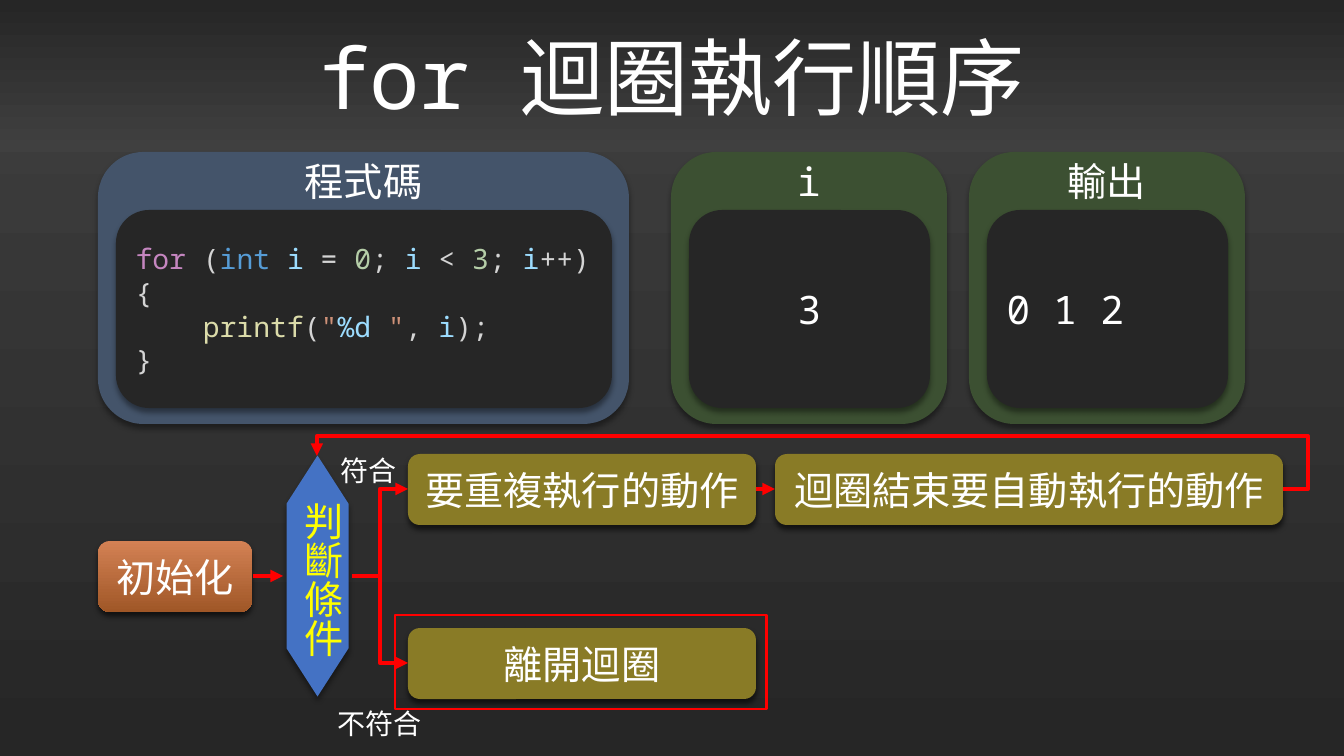
"""Build the slide that explains the execution order of a for loop."""
from dataclasses import dataclass

from lxml import etree
from pptx import Presentation
from pptx.dml.color import RGBColor
from pptx.enum.shapes import MSO_CONNECTOR, MSO_SHAPE
from pptx.enum.text import MSO_ANCHOR, MSO_AUTO_SIZE, PP_ALIGN
from pptx.oxml.ns import qn
from pptx.util import Emu, Pt

ROUNDED, RECTANGLE = MSO_SHAPE.ROUNDED_RECTANGLE, MSO_SHAPE.RECTANGLE
HEXAGON = MSO_SHAPE.FLOWCHART_PREPARATION
STRAIGHT, ELBOW = MSO_CONNECTOR.STRAIGHT, MSO_CONNECTOR.ELBOW
LEFT, CENTER, MIDDLE = PP_ALIGN.LEFT, PP_ALIGN.CENTER, MSO_ANCHOR.MIDDLE
EMU_PER_PX = 914400 / 100.8


@dataclass(frozen=True)
class Theme:
    """Colours, fonts and type sizes."""
    dark: str = "262626"
    gray: str = "404040"
    white: str = "FFFFFF"
    blue_panel: str = "44546A"
    green_panel: str = "3C5032"
    start: tuple = ("D38154", "A05727")
    condition: str = "4472C4"
    yellow: str = "FFFF00"
    action: str = "897B26"
    red: str = "FF0000"
    keyword: str = "C586C0"
    type_name: str = "569CD6"
    variable: str = "9CDCFE"
    number: str = "B5CEA8"
    function: str = "DCDCAA"
    string: str = "CE9178"
    plain: str = "D4D4D4"
    mono: str = "Noto Sans Mono"
    cjk: str = "Noto Sans CJK SC"
    cjk_tc: str = "Noto Sans CJK TC"
    sans: str = "Arial"
    title_size: int = 60
    body_size: int = 28
    code_size: int = 20
    note_size: int = 20


THEME = Theme()
TITLE = [[("for ", THEME.white, THEME.mono), ("迴圈執行順序", THEME.white, THEME.cjk)]]
CODE = [
    [("for", "keyword"), (" (", "plain"), ("int ", "type_name"), ("i", "variable"),
     (" = ", "plain"), ("0", "number"), ("; ", "plain"), ("i", "variable"),
     (" < ", "plain"), ("3", "number"), ("; ", "plain"), ("i", "variable"),
     ("++) {", "plain")],
    [("    ", "plain"), ("printf", "function"), ("(", "plain"), ('"', "string"),
     ("%d", "variable"), (' "', "string"), (", ", "plain"), ("i", "variable"),
     (");", "plain")],
    [("}", "plain")],
]
CODE_LINES = [[(text, getattr(THEME, role), THEME.mono) for text, role in line] for line in CODE]
PANELS = [
    ("程式碼", THEME.cjk_tc, 98, 531, THEME.blue_panel, CODE_LINES, THEME.code_size, LEFT),
    ("輸出", THEME.cjk, 969, 276, THEME.green_panel,
     [[("0 1 2", THEME.white, THEME.mono)]], THEME.body_size, LEFT),
    ("i", THEME.mono, 671, 276, THEME.green_panel,
     [[("3", THEME.white, THEME.mono)]], THEME.body_size, CENTER),
]
MIDDLE_ROW, ROW_GAP, STEP_HEIGHT = 576, 87, 71
TOP_ROW, BOTTOM_ROW = MIDDLE_ROW - ROW_GAP, MIDDLE_ROW + ROW_GAP
STEPS = [
    ("初始化", 98, MIDDLE_ROW, 154, THEME.start),
    ("要重複執行的動作", 408, TOP_ROW, 348, THEME.action),
    ("迴圈結束要自動執行的動作", 775, TOP_ROW, 508, THEME.action),
    ("離開迴圈", 408, BOTTOM_ROW, 348, THEME.action),
]
CONDITION, CONDITION_X = "判斷條件", 317
NOTES = [("符合", 331, 449, 76), ("不符合", 327, 702, 105)]
ARROWS = [
    (STRAIGHT, 253, MIDDLE_ROW, 283, MIDDLE_ROW),
    (ELBOW, 352, MIDDLE_ROW, 408, TOP_ROW),
    (ELBOW, 352, MIDDLE_ROW, 408, BOTTOM_ROW),
    (STRAIGHT, 756, TOP_ROW, 775, TOP_ROW),
]
LOOP_BACK = (ELBOW, 1283, TOP_ROW, CONDITION_X, 456)
LOOP_BENDS = {"adj1": -2600, "adj2": 160000}
EXIT_FRAME = (395, 615, 372, 94)


def px(*lengths):
    return [Emu(round(length * EMU_PER_PX)) for length in lengths]


def paint(fill, color):
    if isinstance(color, str):
        fill.solid()
        fill.fore_color.rgb = RGBColor.from_string(color)
        return
    fill.gradient()
    fill.gradient_angle = 270
    for stop, stop_color in zip(fill.gradient_stops, color):
        stop.color.rgb = RGBColor.from_string(stop_color)


def write(shape, lines, size, align=CENTER, wrap=True):
    frame = shape.text_frame
    frame.word_wrap = wrap
    for index, line in enumerate(lines):
        paragraph = frame.add_paragraph() if index else frame.paragraphs[0]
        paragraph.alignment = align
        for text, color, font_name in line:
            run = paragraph.add_run()
            run.text = text
            run.font.size = Pt(size)
            run.font.name = font_name
            run.font.color.rgb = RGBColor.from_string(color)
            etree.SubElement(run.font._element, qn("a:ea"), typeface=font_name)


def add_block(slide, kind, box, color, shadow_alpha):
    shape = slide.shapes.add_shape(kind, *px(*box))
    paint(shape.fill, color)
    shape.line.fill.background()
    shape.shadow.inherit = False
    effects = shape._element.spPr.find(qn("a:effectLst"))
    shadow = etree.SubElement(effects, qn("a:outerShdw"), blurRad=str(Pt(4)),
                              dist=str(Pt(3)), dir="5400000", algn="ctr", rotWithShape="0")
    shadow_color = etree.SubElement(shadow, qn("a:srgbClr"), val="000000")
    etree.SubElement(shadow_color, qn("a:alpha"), val=str(shadow_alpha * 1000))
    shape.text_frame.vertical_anchor = MIDDLE
    return shape


def add_label(slide, text, box, size, color, font_name, align=CENTER, wrap=True):
    label = slide.shapes.add_textbox(*px(*box))
    write(label, [[(text, color, font_name)]], size, align, wrap)
    return label


def add_panel(slide, heading, heading_font, left, width, color, lines, size, align):
    add_block(slide, ROUNDED, (left, 152, width, 272), color, 40)
    screen = add_block(slide, ROUNDED, (left + 18, 210, width - 35, 198), THEME.dark, 40)
    write(screen, lines, size, align)
    add_label(slide, heading, (left + width / 2 - 80, 152, 160, 57),
              THEME.body_size, THEME.white, heading_font)


def add_arrow(slide, kind, *ends):
    arrow = slide.shapes.add_connector(kind, *px(*ends))
    arrow.line.width = Pt(3)
    paint(arrow.line.fill, THEME.red)
    etree.SubElement(arrow.line._get_or_add_ln(), qn("a:tailEnd"), type="triangle")
    etree.SubElement(arrow._element.spPr, qn("a:effectLst"))
    return arrow


def bend_four(arrow, bends):
    geometry = arrow._element.spPr.find(qn("a:prstGeom"))
    geometry.set("prst", "bentConnector4")
    adjustments = geometry.find(qn("a:avLst"))
    for name, value in bends.items():
        etree.SubElement(adjustments, qn("a:gd"), name=name, fmla=f"val {value}")


def add_condition(slide):
    hexagon = add_block(slide, HEXAGON, (CONDITION_X - 120, MIDDLE_ROW - 31, 241, 62),
                        THEME.condition, 40)
    hexagon.rotation = 90
    label = add_label(slide, CONDITION, (CONDITION_X - 34, MIDDLE_ROW - 84, 68, 168),
                      THEME.body_size, THEME.yellow, THEME.sans, LEFT, False)
    label.text_frame._txBody.bodyPr.set("vert", "eaVert")


def main():
    presentation = Presentation()
    presentation.slide_width, presentation.slide_height = px(1344, 756)
    slide = presentation.slides.add_slide(presentation.slide_layouts[5])
    paint(slide.background.fill, (THEME.gray, THEME.dark))

    title = slide.shapes.title
    title.left, title.top, title.width, title.height = px(0, 0, 1344, 152)
    paint(title.fill, (THEME.dark, THEME.gray))
    title.text_frame.auto_size = MSO_AUTO_SIZE.NONE
    title.text_frame.vertical_anchor = MIDDLE
    write(title, TITLE, THEME.title_size)

    for panel in PANELS:
        add_panel(slide, *panel)
    add_condition(slide)
    for text, left, row, width, color in STEPS:
        step = add_block(slide, ROUNDED, (left, row - 35, width, STEP_HEIGHT), color, 60)
        write(step, [[(text, THEME.white, THEME.sans)]], THEME.body_size)
    for arrow in ARROWS:
        add_arrow(slide, *arrow)
    bend_four(add_arrow(slide, *LOOP_BACK), LOOP_BENDS)
    for text, left, top, width in NOTES:
        add_label(slide, text, (left, top, width, 44), THEME.note_size,
                  THEME.white, THEME.cjk, wrap=False)

    frame = slide.shapes.add_shape(RECTANGLE, *px(*EXIT_FRAME))
    frame.shadow.inherit = False
    frame.fill.background()
    paint(frame.line.fill, THEME.red)
    frame.line.width = Pt(2)
    presentation.save("out.pptx")


if __name__ == "__main__":
    main()
